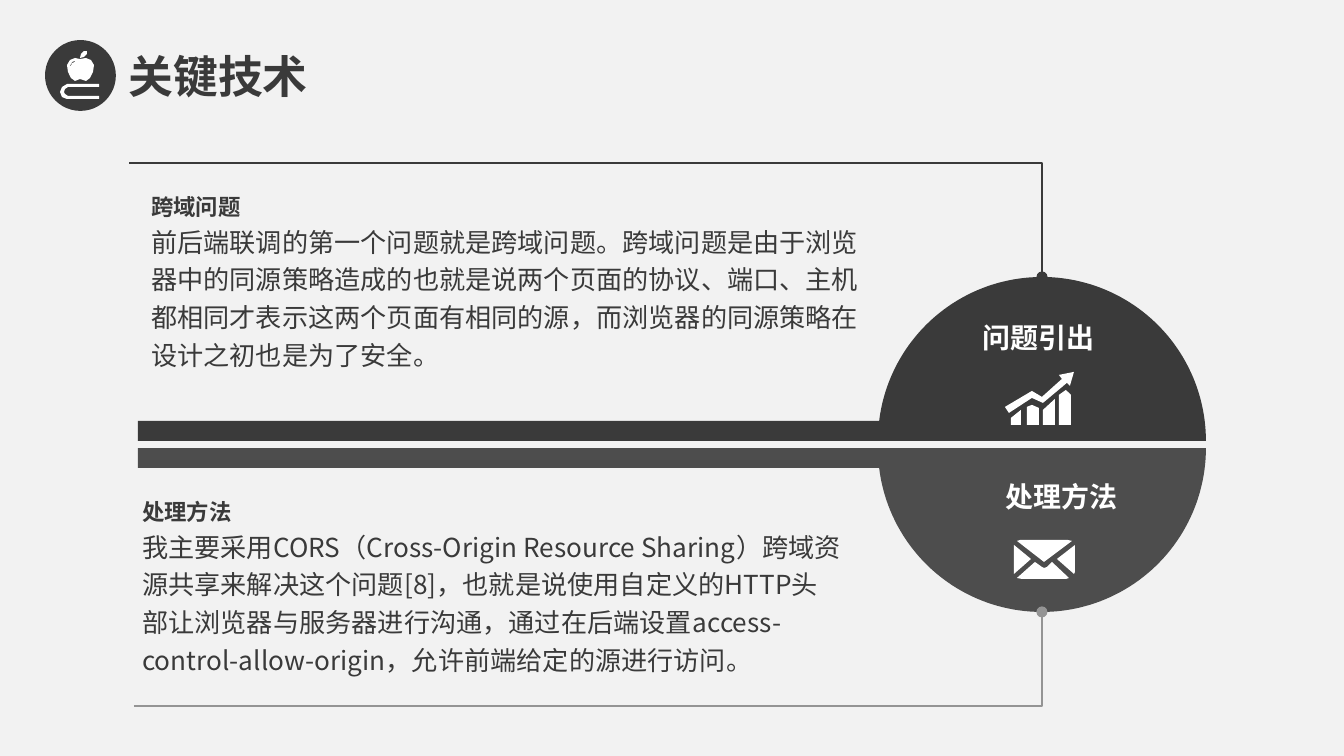
from math import asin, cos, pi, sin

from lxml.etree import SubElement
from pptx import Presentation
from pptx.dml.color import RGBColor
from pptx.enum.shapes import MSO_SHAPE
from pptx.enum.text import MSO_ANCHOR, MSO_AUTO_SIZE, PP_ALIGN
from pptx.oxml.ns import qn
from pptx.util import Pt

EMU_PER_PX = 914400 / 134.4
BACKGROUND = RGBColor(0xF2, 0xF2, 0xF2)
DARK = RGBColor(0x3A, 0x3A, 0x3A)
MEDIUM = RGBColor(0x4D, 0x4D, 0x4D)
LIGHT = RGBColor(0x94, 0x94, 0x94)
WHITE = RGBColor(0xFF, 0xFF, 0xFF)
LATIN = "Arial"
CHINESE = "Noto Sans CJK SC"

APPLE_ON_BOOK = [
    [(39, 33), (7, 33), (2, 36), (0, 41), (2, 46), (7, 48), (39, 48), (39, 45),
     (8, 45), (5, 43), (4, 41), (5, 38), (8, 36), (39, 36)],
    [(20, 8), (15, 7), (10, 9), (7, 14), (8, 21), (11, 27), (15, 30), (20, 28),
     (26, 30), (30, 27), (33, 21), (34, 14), (31, 9), (26, 7)],
    [(20, 7), (21, 3), (24, 0), (27, 0), (27, 3), (24, 6)],
    [(15, 10), (12, 11), (10, 15), (11, 15), (12, 12), (15, 11)],
]
RISING_CHART = [
    [(0, 35), (27, 19), (37, 25), (57, 7), (54, 3), (69, 0), (65, 14), (62, 11),
     (38, 31), (27, 26), (4, 41)],
    [(6, 53), (6, 46), (16, 38), (16, 53)],
    [(22, 53), (22, 35), (27, 33), (34, 36), (34, 53)],
    [(38, 53), (38, 38), (50, 27), (50, 53)],
    [(54, 53), (54, 23), (61, 18), (66, 23), (66, 53)],
]
ENVELOPE = [
    [(3, 1), (6, 0), (54, 0), (58, 1), (30, 22)],
    [(61, 5), (43, 19), (60, 34), (61, 32)],
    [(3, 38), (21, 22), (28, 27), (30, 28), (33, 27), (38, 22), (55, 38), (52, 39), (8, 39)],
    [(0, 34), (17, 19), (0, 5)],
]


def px(value):
    return round(value * EMU_PER_PX)


def add_outline(slide, left, top, contours, close=True):
    moved = [[(px(left + x), px(top + y)) for x, y in contour] for contour in contours]
    builder = slide.shapes.build_freeform(*moved[0][0])
    for index, contour in enumerate(moved):
        if index:
            builder.move_to(*contour[0])
        builder.add_line_segments(contour[1:], close=close)
    shape = builder.convert_to_shape()
    shape.shadow.inherit = False
    return shape


def add_filled(slide, left, top, contours, color):
    shape = add_outline(slide, left, top, contours)
    shape.fill.solid()
    shape.fill.fore_color.rgb = color
    shape.line.fill.background()


def add_elbow(slide, left, top, points, color):
    shape = add_outline(slide, left, top, [points], close=False)
    shape.fill.background()
    shape.line.color.rgb = color
    shape.line.width = Pt(1)
    SubElement(shape.line._get_or_add_ln(), qn("a:tailEnd"), type="oval")


def write_text(paragraph, text, size, color=DARK, bold=True, latin=LATIN,
               align=PP_ALIGN.LEFT, spacing=None):
    paragraph.alignment = align
    if spacing:
        paragraph.line_spacing = spacing
    run = paragraph.add_run()
    run.text = text
    font = run.font
    font.size = Pt(size)
    font.bold = bold
    font.color.rgb = color
    font.name = latin
    SubElement(font._element, qn("a:ea"), typeface=CHINESE)


def add_text_frame(slide, left, top, width, height):
    box = slide.shapes.add_textbox(px(left), px(top), px(width), px(height))
    frame = box.text_frame
    frame.word_wrap = True
    frame.auto_size = MSO_AUTO_SIZE.SHAPE_TO_FIT_TEXT
    return frame


def add_header(slide, left, top, text):
    title = slide.shapes.title
    title.left, title.top = px(left + 69), px(top + 1)
    title.width, title.height = px(253), px(69)
    frame = title.text_frame
    frame.word_wrap = True
    frame.auto_size = MSO_AUTO_SIZE.SHAPE_TO_FIT_TEXT
    frame.vertical_anchor = MSO_ANCHOR.TOP
    write_text(frame.paragraphs[0], text, 24)

    badge = slide.shapes.add_shape(MSO_SHAPE.OVAL, px(left), px(top), px(69), px(69))
    badge.shadow.inherit = False
    badge.fill.solid()
    badge.fill.fore_color.rgb = DARK
    badge.line.color.rgb = DARK
    badge.line.width = Pt(1)
    add_filled(slide, left + 14, top + 10, APPLE_ON_BOOK, WHITE)


def add_half_disc(slide, left, base, direction, color):
    radius, center, bar, steps = 164, 904, 20, 90
    end = pi - asin(bar / radius)
    angles = [end * step / steps for step in range(steps + 1)]
    arc = [(center + radius * cos(angle), direction * radius * sin(angle)) for angle in angles]
    add_filled(slide, left, base, [arc + [(0, direction * bar), (0, 0)]], color)


def add_label(slide, left, top, text, align):
    frame = add_text_frame(slide, left, top, 120, 33)
    frame.margin_left = frame.margin_top = frame.margin_right = frame.margin_bottom = 0
    write_text(frame.paragraphs[0], text, 15, color=WHITE, latin=CHINESE, align=align)


def add_passage(slide, left, top, width, heading, body, latin):
    frame = add_text_frame(slide, left, top, width, 198)
    write_text(frame.paragraphs[0], heading, 12, spacing=1.2)
    write_text(frame.add_paragraph(), body, 14, bold=False, latin=latin, spacing=1.2)


def main():
    presentation = Presentation()
    presentation.slide_width, presentation.slide_height = px(1344), px(756)
    slide = presentation.slides.add_slide(presentation.slide_layouts[5])
    slide.background.fill.solid()
    slide.background.fill.fore_color.rgb = BACKGROUND

    add_half_disc(slide, 138, 441, -1, DARK)
    add_half_disc(slide, 138, 448, 1, MEDIUM)
    add_elbow(slide, 129, 163, [(0, 0), (913, 0), (913, 114)], DARK)
    add_elbow(slide, 134, 706, [(0, 0), (908, 0), (908, -94)], LIGHT)
    add_label(slide, 979, 321, "问题引出", PP_ALIGN.CENTER)
    add_label(slide, 1006, 480, "处理方法", PP_ALIGN.LEFT)
    add_passage(
        slide, 138, 181, 738, "跨域问题",
        "前后端联调的第一个问题就是跨域问题。跨域问题是由于浏览器中的同源策略造成的"
        "也就是说两个页面的协议、端口、主机都相同才表示这两个页面有相同的源，"
        "而浏览器的同源策略在设计之初也是为了安全。", LATIN)
    add_passage(
        slide, 129, 486, 726, "处理方法",
        "我主要采用CORS（Cross-Origin Resource Sharing）跨域资源共享来解决这个问题[8]，"
        "也就是说使用自定义的HTTP头部让浏览器与服务器进行沟通，"
        "通过在后端设置access-control-allow-origin，允许前端给定的源进行访问。", CHINESE)
    add_filled(slide, 1005, 372, RISING_CHART, WHITE)
    add_filled(slide, 1014, 540, ENVELOPE, WHITE)
    add_header(slide, 46, 41, "关键技术")
    presentation.save("out.pptx")


if __name__ == "__main__":
    main()
